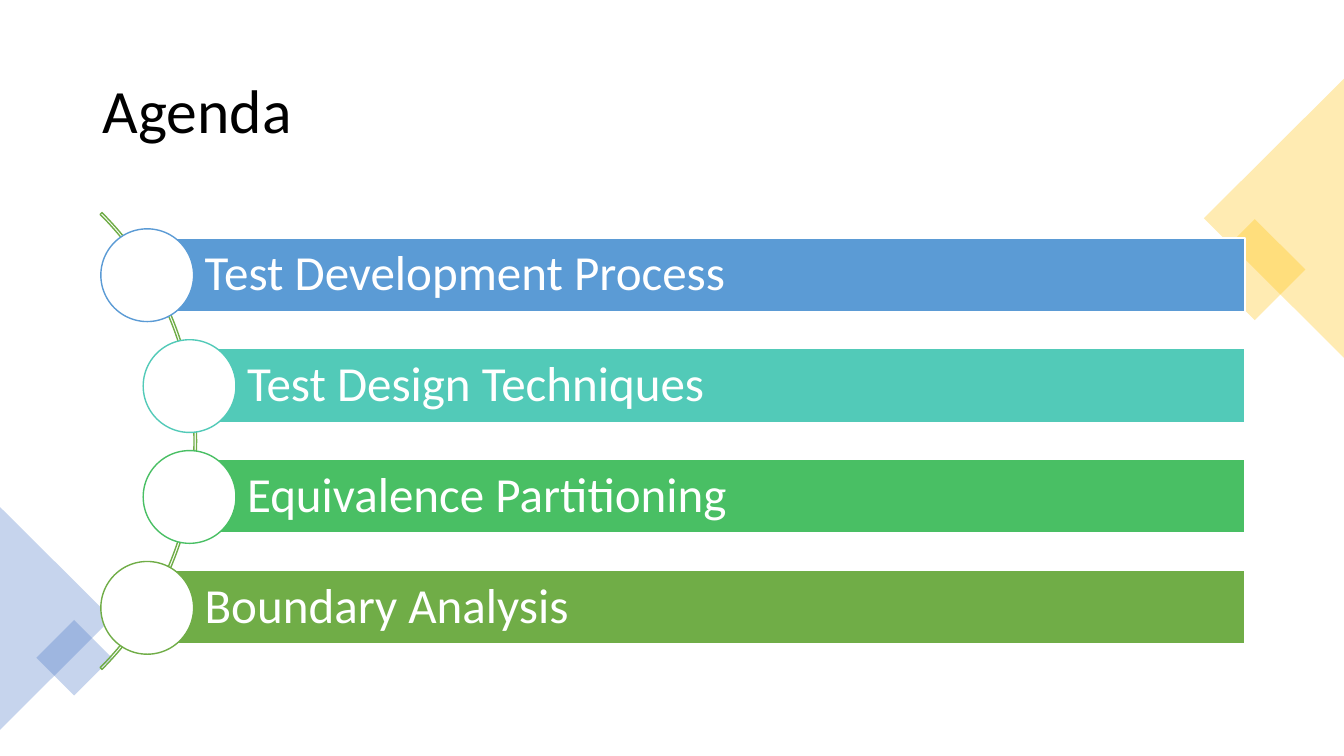
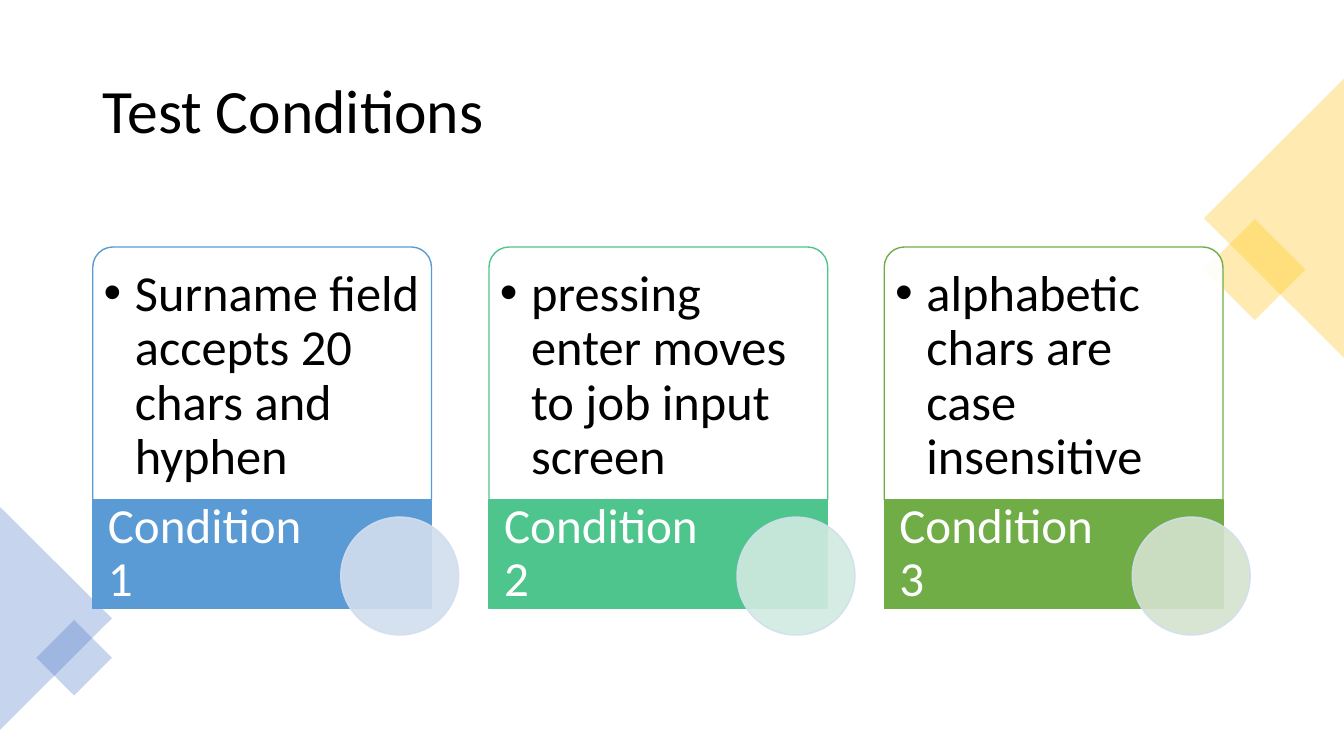
from lxml.etree import SubElement
from pptx import Presentation
from pptx.dml.color import RGBColor
from pptx.enum.shapes import MSO_SHAPE as Shape
from pptx.enum.text import MSO_ANCHOR as Anchor, MSO_AUTO_SIZE as AutoSize, PP_ALIGN as Align
from pptx.oxml.ns import qn
from pptx.util import Emu, Pt

PX = 9144
FONT = "Calibri"
BLACK = RGBColor(0x00, 0x00, 0x00)
WHITE = RGBColor(0xFF, 0xFF, 0xFF)
GOLD = RGBColor(0xFF, 0xC0, 0x00)
NAVY = RGBColor(0x44, 0x72, 0xC4)
BLUE = RGBColor(0x5B, 0x9B, 0xD5)
TEAL = RGBColor(0x52, 0xCA, 0xB8)
EMERALD = RGBColor(0x49, 0xBF, 0x64)
MINT = RGBColor(0x4D, 0xC5, 0x8D)
GREEN = RGBColor(0x70, 0xAD, 0x47)
PALE_BLUE = RGBColor(0xD2, 0xDE, 0xEF)
PALE_MINT = RGBColor(0xD0, 0xEA, 0xE1)
PALE_GREEN = RGBColor(0xD5, 0xE3, 0xCF)

AGENDA = [
    ("Test Development Process", BLUE, 145),
    ("Test Design Techniques", TEAL, 187),
    ("Equivalence Partitioning", EMERALD, 187),
    ("Boundary Analysis", GREEN, 145),
]
CONDITIONS = [
    ("Surname field accepts 20 chars and hyphen", BLUE, PALE_BLUE),
    ("pressing enter moves to job input screen", MINT, PALE_MINT),
    ("alphabetic chars are case insensitive", GREEN, PALE_GREEN),
]


def px(length):
    return Emu(length * PX)


def set_alpha(shape, query, percent):
    for color in shape.element.spPr.xpath(query):
        SubElement(color, qn("a:alpha")).set("val", str(percent * 1000))


def write(shape, text, size=35, color=WHITE, anchor=Anchor.MIDDLE,
          insets=(10, 5, 10, 5), bullet_indent=0):
    frame = shape.text_frame
    frame.word_wrap = True
    frame.auto_size = AutoSize.NONE
    frame.vertical_anchor = anchor
    frame.margin_left, frame.margin_top, frame.margin_right, frame.margin_bottom = map(px, insets)
    paragraph = frame.paragraphs[0]
    if bullet_indent:
        properties = paragraph._p.get_or_add_pPr()
        properties.set("marL", str(px(bullet_indent)))
        properties.set("indent", str(px(-bullet_indent)))
        SubElement(properties, qn("a:buFont")).set("typeface", "Arial")
        SubElement(properties, qn("a:buChar")).set("char", "•")
    paragraph.alignment = Align.LEFT
    paragraph.line_spacing = 0.9
    run = paragraph.add_run()
    run.text = text
    run.font.name = FONT
    run.font.size = Pt(size)
    run.font.color.rgb = color


class Deck:
    def __init__(self):
        self.presentation = Presentation()
        self.presentation.slide_width = px(1333)
        self.presentation.slide_height = px(750)
        self.layout = self.presentation.slide_layouts[5]
        self.slide = None

    def add_slide(self, title):
        first = self.slide is None
        self.slide = self.presentation.slides.add_slide(self.layout)
        if first:
            self.add_corners_to_layout()
        heading = self.slide.shapes.title
        heading.left, heading.top, heading.width, heading.height = map(px, (92, 40, 1150, 145))
        write(heading, title, size=44, color=BLACK)

    def add_corners_to_layout(self):
        corners = [
            (Shape.RECTANGLE, (1209, 232, 71, 71), 45, GOLD),
            (Shape.ISOSCELES_TRIANGLE, (1125, 147, 277, 139), 270, GOLD),
            (Shape.ISOSCELES_TRIANGLE, (-55, 558, 221, 111), 90, NAVY),
            (Shape.RECTANGLE, (47, 626, 53, 53), 45, NAVY),
        ]
        for kind, box, rotation, color in corners:
            corner = self.add_shape(kind, box, fill=color, alpha=30)
            corner.rotation = rotation
            self.layout.shapes.element.append(corner.element)

    def add_shape(self, kind, box, fill=None, alpha=100, line=None, line_alpha=100, adjust=()):
        shape = self.slide.shapes.add_shape(kind, *map(px, box))
        shape.shadow.inherit = False
        for index, value in enumerate(adjust):
            shape.adjustments[index] = value
        if fill is None:
            shape.fill.background()
        else:
            shape.fill.solid()
            shape.fill.fore_color.rgb = fill
            if alpha < 100:
                set_alpha(shape, "./a:solidFill/a:srgbClr", alpha)
        if line is None:
            shape.line.fill.background()
        else:
            shape.line.color.rgb = line
            shape.line.width = Pt(1)
            if line_alpha < 100:
                set_alpha(shape, "./a:ln/a:solidFill/a:srgbClr", line_alpha)
        return shape

    def add_agenda_item(self, text, color, left, top):
        bar = self.add_shape(Shape.RECTANGLE, (left, top, 1235 - left, 73), fill=color, line=WHITE)
        write(bar, text, insets=(58, 10, 10, 10))
        self.add_shape(Shape.OVAL, (left - 45, top - 9, 92, 92), fill=WHITE, line=color)

    def add_condition(self, number, text, color, pale, left):
        card = self.add_shape(Shape.ROUND_2_SAME_RECTANGLE, (left, 245, 336, 251),
                              fill=WHITE, alpha=90, line=color, adjust=(0.08, 0))
        write(card, text, size=36, color=BLACK, anchor=Anchor.TOP,
              insets=(5, 15, 5, 5), bullet_indent=31)
        label = self.add_shape(Shape.RECTANGLE, (left, 496, 336, 108), fill=color, line=color)
        write(label, f"Condition {number}", insets=(15, 0, 105, 0))
        self.add_shape(Shape.OVAL, (left + 246, 513, 117, 117), fill=pale, alpha=90,
                       line=PALE_BLUE, line_alpha=90)


def main():
    deck = Deck()

    deck.add_slide("Agenda")
    deck.add_shape(Shape.BLOCK_ARC, (-446, 117, 641, 641), line=GREEN, adjust=(189, 27, 0.004))
    for index, (text, color, left) in enumerate(AGENDA):
        deck.add_agenda_item(text, color, left, 236 + 110 * index)

    deck.add_slide("Test Conditions")
    for index, (text, color, pale) in enumerate(CONDITIONS):
        deck.add_condition(index + 1, text, color, pale, round(92 + 392.6 * index))

    deck.presentation.save("out.pptx")


if __name__ == "__main__":
    main()
